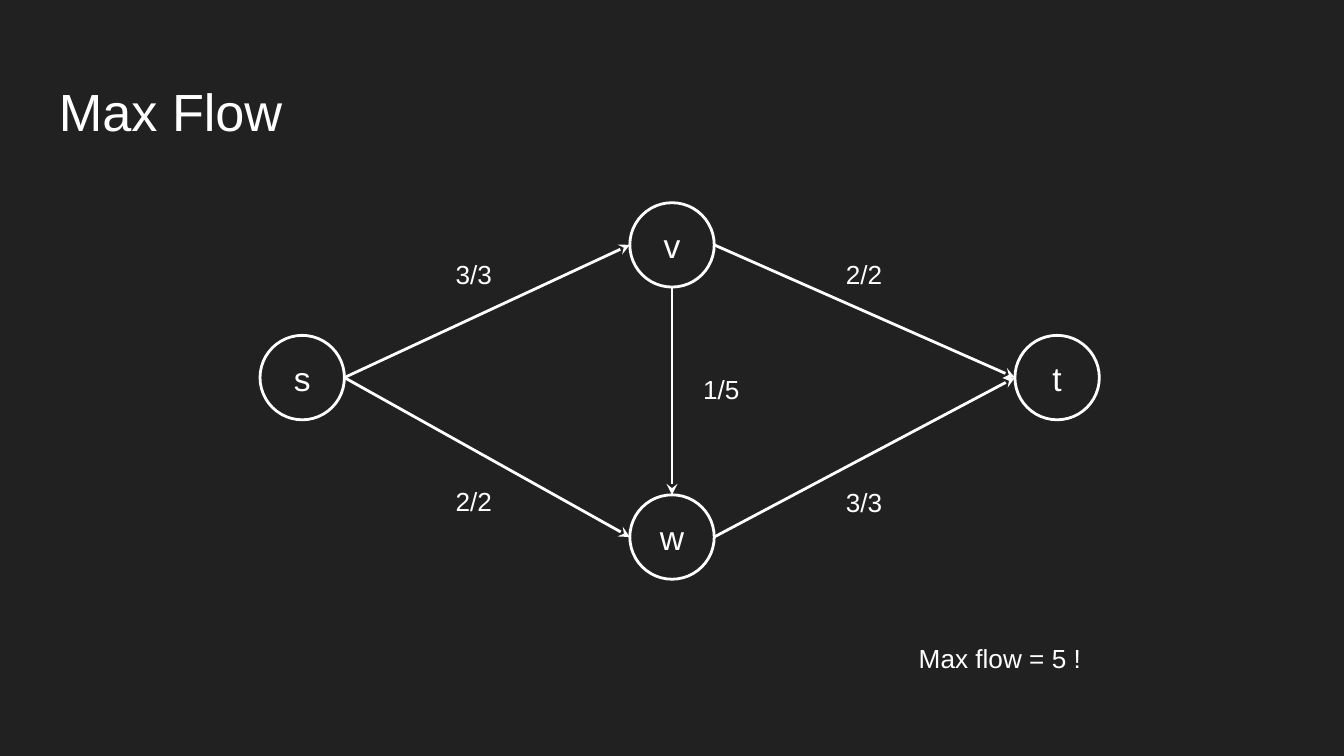
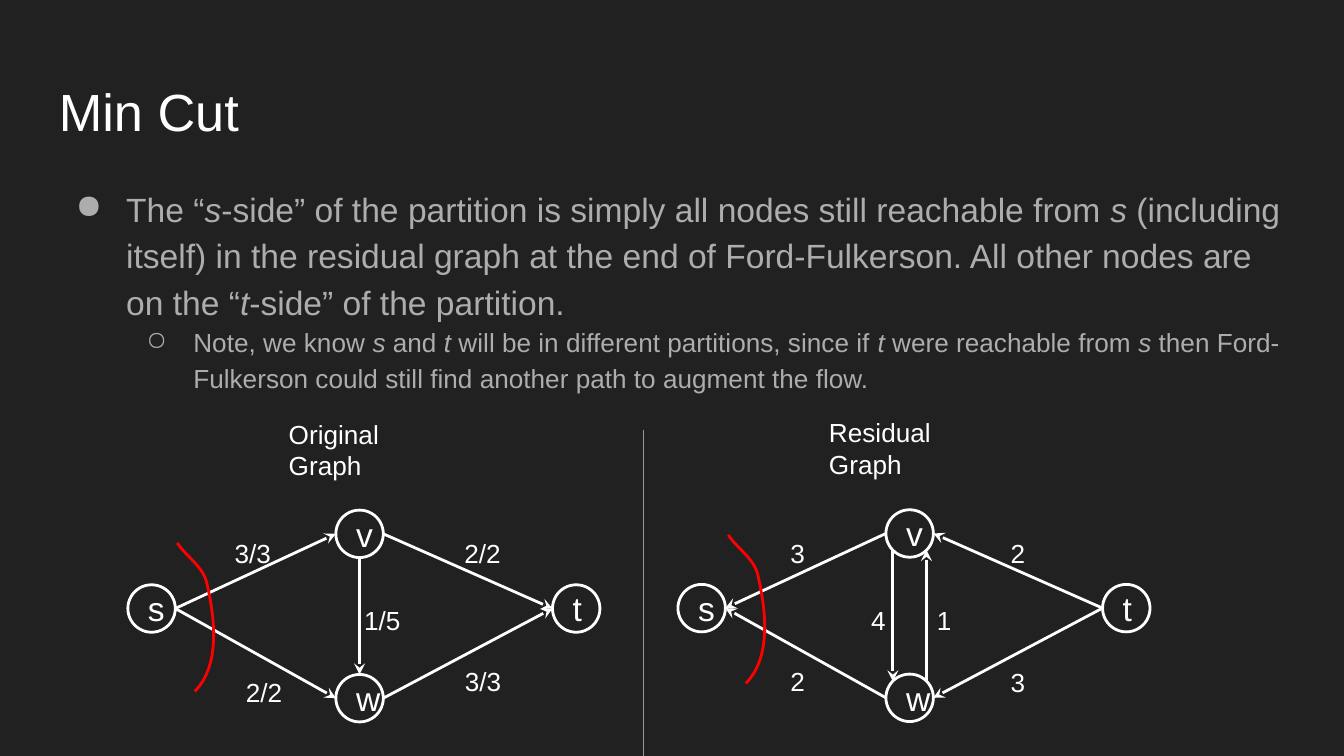
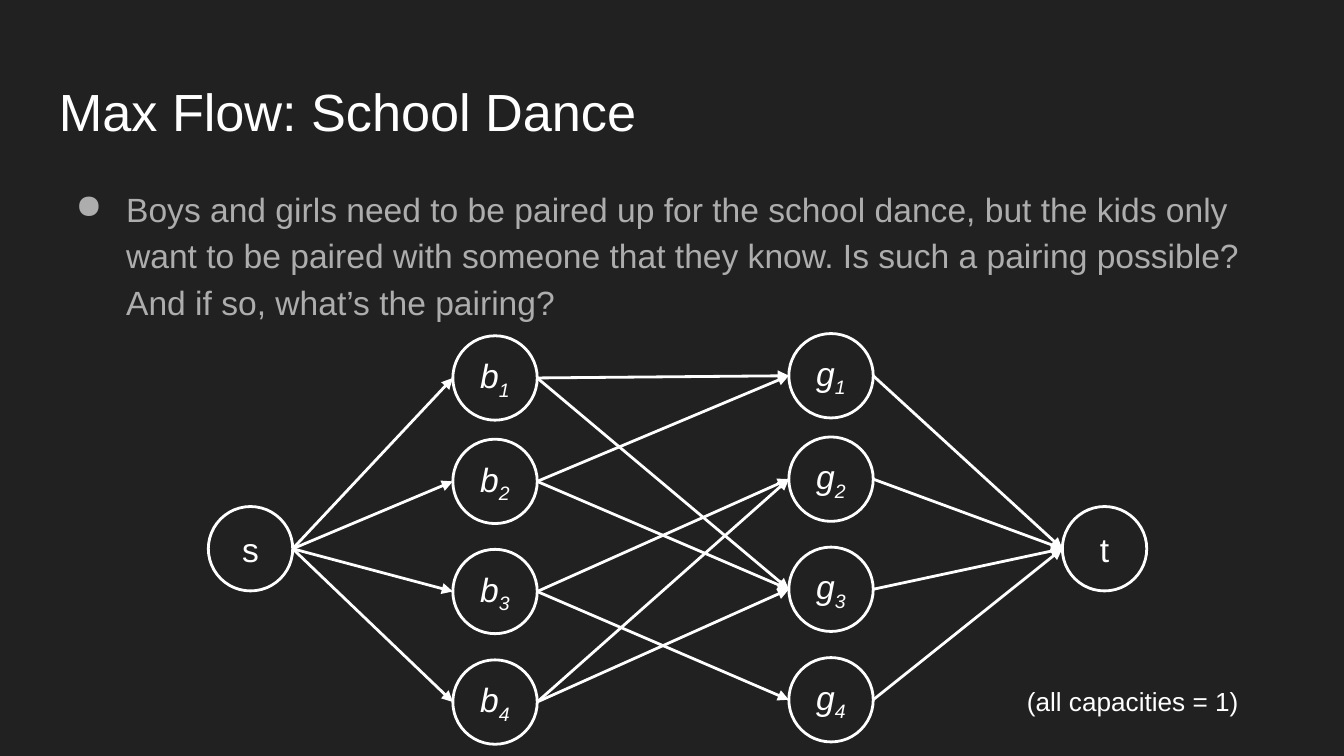
from dataclasses import dataclass
from itertools import product

from lxml import etree
from pptx import Presentation
from pptx import util as u
from pptx.dml.color import RGBColor
from pptx.enum import shapes, text
from pptx.oxml import ns

Pt = u.Pt
DARK = RGBColor(0x21, 0x21, 0x21)
WHITE = RGBColor(0xFF, 0xFF, 0xFF)
PALE = RGBColor(0xAD, 0xAD, 0xAD)
GREY = RGBColor(0x99, 0x99, 0x99)
RED = RGBColor(0xFF, 0, 0)
FONT = "Arial"
PAD = 7.2
SIZE = 45.2
SMALL = 0.5625
LEFT, MID = text.PP_ALIGN.LEFT, text.PP_ALIGN.CENTER


@dataclass(frozen=True)
class Node:
    """A circle with its centre, a letter and a subscript."""
    name: str
    x: float
    y: float
    size: float = SIZE
    sub: str = ""

    def right(self):
        """Give the point at the right of the circle."""
        return self.x + self.size / 2, self.y

    def left(self):
        """Give the point at the left of the circle."""
        return self.x - self.size / 2, self.y

    def foot(self):
        """Give the point at the bottom of the circle."""
        return self.x, self.y + self.size / 2

    def top(self):
        """Give the point at the top of the circle."""
        return self.x, self.y - self.size / 2


@dataclass(frozen=True)
class Note:
    """A short text in a box."""
    words: str
    x: float
    y: float
    w: float = 53.3
    h: float = 32.4
    align: text.PP_ALIGN = MID


@dataclass(frozen=True)
class Item:
    """A bulleted paragraph, with italics between asterisks."""
    words: str
    mark: str = "●"
    size: float = 18
    edge: float = 36
    hang: float = 27


def add_tag(parent, tag: str, **attrs: str):
    """Append a drawing element to a parent."""
    return etree.SubElement(parent, ns.qn(tag), **attrs)


def set_font(para, size: float, color: RGBColor = WHITE) -> None:
    """Set the font of a paragraph."""
    font = para.font
    font.name, font.size, font.color.rgb = FONT, Pt(size), color


def set_frame(shape, anchor=text.MSO_ANCHOR.TOP):
    """Set wrap, insets and anchor of a shape and return its frame."""
    frame = shape.text_frame
    frame.word_wrap = True
    frame.vertical_anchor = anchor
    frame.margin_left = frame.margin_right = Pt(PAD)
    frame.margin_top = frame.margin_bottom = Pt(PAD)
    return frame


def add_note(slide, note: Note, size: float = 14) -> None:
    """Draw a text box with one line of white text."""
    box = slide.shapes.add_textbox(Pt(note.x), Pt(note.y), Pt(note.w), Pt(note.h))
    para = set_frame(box).paragraphs[0]
    para.text, para.alignment = note.words, note.align
    set_font(para, size)


def add_body(slide, items: list[Item], high: float) -> None:
    """Draw the bulleted text below the title."""
    box = slide.shapes.add_textbox(Pt(24.5), Pt(90.7), Pt(671), Pt(high))
    frame = set_frame(box)
    for i, item in enumerate(items):
        para = frame.add_paragraph() if i else frame.paragraphs[0]
        para.line_spacing, para.level = 1.15, i
        props = para._p.get_or_add_pPr()
        props.set("marL", str(Pt(item.edge)))
        props.set("indent", str(-Pt(item.hang)))
        add_tag(add_tag(props, "a:buClr"), "a:srgbClr", val=str(PALE))
        add_tag(props, "a:buChar", char=item.mark)
        set_font(para, item.size, PALE)
        for j, part in enumerate(item.words.split("*")):
            run = para.add_run()
            run.text = part
            run.font.italic = j % 2 == 1


def add_node(slide, node: Node) -> None:
    """Draw a circle with its letter."""
    half = node.size / 2
    ring = slide.shapes.add_shape(
        shapes.MSO_SHAPE.OVAL, Pt(node.x - half), Pt(node.y - half),
        Pt(node.size), Pt(node.size))
    ring.shadow.inherit = False
    ring.fill.background()
    ring.line.color.rgb, ring.line.width = WHITE, Pt(1.5)
    para = set_frame(ring, text.MSO_ANCHOR.MIDDLE).paragraphs[0]
    para.alignment = MID
    set_font(para, 18)
    para.add_run().text = node.name
    if node.sub:
        para.font.italic = True
        run = para.add_run()
        run.text = node.sub
        run._r.get_or_add_rPr().set("baseline", "-25000")


def add_line(slide, start, end, tip: str = "", back: bool = False,
             color: RGBColor = WHITE, width: float = 1.5) -> None:
    """Draw a line, with an arrowhead at its end or its start."""
    line = slide.shapes.add_connector(
        shapes.MSO_CONNECTOR.STRAIGHT, *map(Pt, (*start, *end)))
    line.line.color.rgb, line.line.width = color, Pt(width)
    if tip:
        add_tag(line.line._get_or_add_ln(), "a:headEnd" if back else "a:tailEnd",
                type=tip, w="med", len="med")
    add_tag(line._element.spPr, "a:effectLst")


def add_graph(slide, x: float, y: float, scale: float = 1, back: bool = False) -> dict:
    """Draw the four-node flow graph from the centre of s and return its nodes."""
    spots = {"s": (0, 0), "t": (404.4, 0), "v": (198.1, -71.1), "w": (198.1, 85.4)}
    nodes = {k: Node(k, x + dx * scale, y + dy * scale, SIZE * scale)
             for k, (dx, dy) in spots.items()}
    for node in nodes.values():
        add_node(slide, node)
    for a, b in ("sv", "sw", "vt", "wt"):
        add_line(slide, nodes[a].right(), nodes[b].left(), "stealth", back)
    return nodes


def add_cut(slide, x: float, y: float) -> None:
    """Draw the red curve of the cut from its upper end."""
    bends = [((0, 0), (4.7, 7.2), (13.7, 12.5), (15.8, 21.3)),
             ((15.8, 21.3), (20.2, 40.3), (23.3, 65.5), (9.4, 79.6))]
    points, steps = [], 16
    for bend, i in product(bends, range(1, steps + 1)):
        t = i / steps
        terms = ((1 - t) ** 3, 3 * t * (1 - t) ** 2, 3 * t * t * (1 - t), t ** 3)
        dx, dy = (sum(k * p[n] for k, p in zip(terms, bend)) for n in (0, 1))
        points.append((Pt(x + dx), Pt(y + dy)))
    path = slide.shapes.build_freeform(Pt(x), Pt(y))
    path.add_line_segments(points, close=False)
    curve = path.convert_to_shape()
    curve.shadow.inherit = False
    curve.fill.background()
    curve.line.color.rgb, curve.line.width = RED, Pt(1.5)


def add_slide(prs, title: str):
    """Add a dark slide with its title."""
    slide = prs.slides.add_slide(prs.slide_layouts[6])
    slide.background.fill.solid()
    slide.background.fill.fore_color.rgb = DARK
    add_note(slide, Note(title, 24.5, 35.1, 671, 45.1, LEFT), 28)
    return slide


def draw_flow(prs) -> None:
    """Draw the maximum flow slide."""
    slide = add_slide(prs, "Max Flow")
    nodes = add_graph(slide, 161.9, 202.3)
    add_line(slide, nodes["v"].foot(), nodes["w"].top(), "stealth")
    for note in (Note("3/3", 227.2, 131), Note("2/2", 227.2, 253),
                 Note("2/2", 436.3, 131), Note("1/5", 359.8, 193),
                 Note("3/3", 436.3, 253.4),
                 Note("Max flow = 5 !", 485.1, 337, 106.6, 32.4, LEFT)):
        add_note(slide, note)


def draw_cut(prs) -> None:
    """Draw the minimum cut slide."""
    slide = add_slide(prs, "Min Cut")
    add_body(slide, [
        Item("The “*s*-side” of the partition is simply all nodes still reachable "
             "from *s* (including itself) in the residual graph at the end of "
             "Ford-Fulkerson. All other nodes are on the “*t*-side” of the partition."),
        Item("Note, we know *s* and *t* will be in different partitions, since if *t* "
             "were reachable from *s* then Ford-Fulkerson could still find another "
             "path to augment the flow.", "○", 14, 72, 25.2)], 269)
    nodes = add_graph(slide, 81.2, 326, SMALL)
    add_line(slide, nodes["v"].foot(), nodes["w"].top(), "stealth")
    rest = add_graph(slide, 375.9, 325.8, SMALL, True)
    for dx, back in ((-9, False), (9, True)):
        x = rest["v"].x + dx
        add_line(slide, (x, 294.7), (x, 365), "stealth", back)
    add_line(slide, (344.9, 230.4), (344.9, 445), color=GREY, width=0.75)
    for words, x, y, w in (
            ("3/3", 114.5, 280.8, 41.8), ("2/2", 118.1, 355, 46.8),
            ("2/2", 237.6, 280.8, 41.8), ("1/5", 181.4, 316.8, 46.8),
            ("3/3", 235.4, 349.2, 46.8), ("3", 412.6, 280.8, 29.5),
            ("2", 412.6, 349.2, 29.5), ("2", 530.6, 280.8, 29.5),
            ("4", 455.8, 316.8, 29.5), ("1", 491, 316.8, 29.5),
            ("3", 530.6, 350, 29.5)):
        add_note(slide, Note(words, x, y, w, 18.7))
    add_note(slide, Note("Original Graph", 147.6, 216.7, 90.7, 29.5, LEFT))
    add_note(slide, Note("Residual Graph", 437, 216, 101.5, 29.5, LEFT))
    add_cut(slide, 390.2, 286.6)
    add_cut(slide, 95, 290.9)


def draw_dance(prs) -> None:
    """Draw the school dance slide."""
    slide = add_slide(prs, "Max Flow: School Dance")
    add_body(slide, [Item(
        "Boys and girls need to be paired up for the school dance, but the kids only "
        "want to be paired with someone that they know. Is such a pairing possible? "
        "And if so, what’s the pairing?")], 78.5)
    rows = (202.5, 257.9, 316.9, 376.1)
    boys = [Node("b", 265.2, y, sub=str(i)) for i, y in enumerate(rows, 1)]
    girls = [Node("g", 445.2, y - 1.2, sub=str(i)) for i, y in enumerate(rows, 1)]
    start, end = Node("s", 134.2, 294), Node("t", 591.7, 294)
    for node in (*boys, *girls, start, end):
        add_node(slide, node)
    knows = ((1, 1), (1, 3), (2, 1), (2, 3), (3, 4), (4, 2), (4, 3), (3, 2))
    edges = [(boys[b - 1], girls[g - 1]) for b, g in knows]
    edges += [(start, boy) for boy in boys] + [(girl, end) for girl in girls]
    for a, b in edges:
        add_line(slide, a.right(), b.left(), "triangle")
    add_note(slide, Note("(all capacities = 1)", 543, 360, 142.6, 32.4, LEFT))


def main() -> None:
    """Build the deck and save it."""
    prs = Presentation()
    prs.slide_width, prs.slide_height = Pt(720), Pt(405)
    draw_flow(prs)
    draw_cut(prs)
    draw_dance(prs)
    prs.save("out.pptx")


if __name__ == "__main__":
    main()
